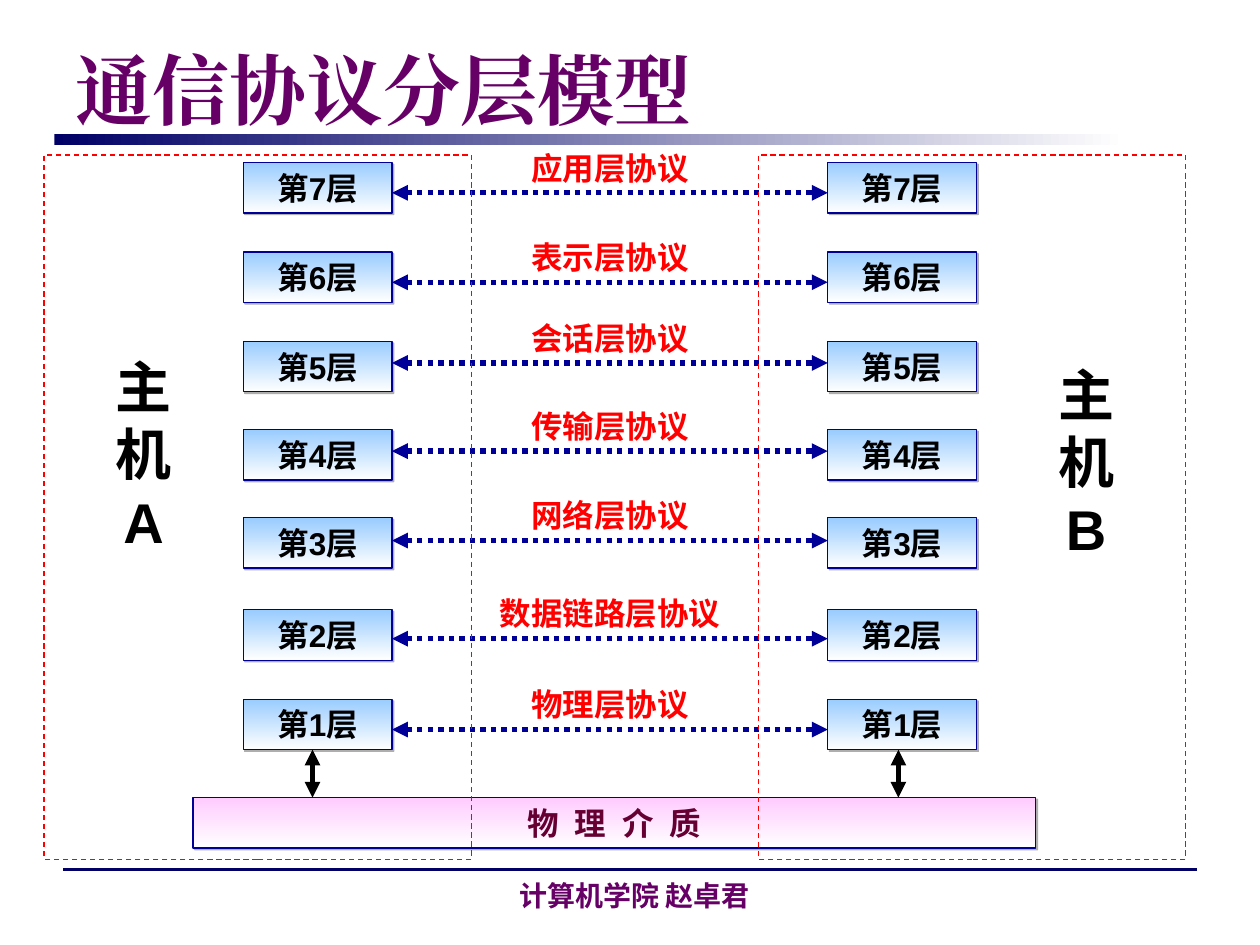
from dataclasses import dataclass

from lxml.etree import SubElement
from pptx import Presentation
from pptx.dml.color import RGBColor
from pptx.enum.dml import MSO_LINE
from pptx.enum.shapes import MSO_CONNECTOR, MSO_SHAPE
from pptx.enum.text import MSO_ANCHOR, PP_ALIGN
from pptx.oxml.ns import qn
from pptx.util import Pt

COLORS = {
    "navy": "000066", "line": "000099", "purple": "660066", "plum": "660033",
    "sky": "99CCFF", "pink": "FFCCFF", "red": "FF0000", "black": "000000",
    "white": "FFFFFF", "shadow": "5F5F5F",
}


@dataclass(frozen=True)
class Box:
    left: float
    top: float
    width: float
    height: float

    def lengths(self) -> tuple:
        return Pt(self.left), Pt(self.top), Pt(self.width), Pt(self.height)


@dataclass(frozen=True)
class TextStyle:
    size: float
    color: str
    font: str = "Arial"
    align: PP_ALIGN = PP_ALIGN.CENTER
    space_before: float = 0
    spacing: float = 0


@dataclass(frozen=True)
class Layer:
    number: int
    protocol: str
    box_top: float
    arrow_y: float


@dataclass(frozen=True)
class Host:
    name: str
    name_left: float
    name_top: float
    frame_left: float
    layer_left: float
    medium_arrow_x: float


LAYERS = [
    Layer(7, "应用层协议", 92.9, 110.2),
    Layer(6, "表示层协议", 144, 161.3),
    Layer(5, "会话层协议", 195.1, 207.4),
    Layer(4, "传输层协议", 245.5, 257.8),
    Layer(3, "网络层协议", 295.9, 308.9),
    Layer(2, "数据链路层协议", 348.5, 365),
    Layer(1, "物理层协议", 399.6, 416.9),
]
HOSTS = [
    Host("主机A", 48.2, 198, 25.2, 139, 178.6),
    Host("主机B", 586.8, 202.3, 433.4, 473, 513.4),
]
LAYER_WIDTH, ROW_HEIGHT = 85, 28.8
LABEL_CENTER = 348.5
MEDIUM = Box(110.2, 455.8, 481.7, ROW_HEIGHT)


def rgb(name: str) -> RGBColor:
    return RGBColor.from_string(COLORS[name])


def write(shape, text: str, style: TextStyle, anchor=MSO_ANCHOR.TOP) -> None:
    frame = shape.text_frame
    frame.word_wrap = True
    frame.vertical_anchor = anchor
    paragraph = frame.paragraphs[0]
    paragraph.alignment = style.align
    paragraph.space_before = Pt(style.space_before)
    run = paragraph.add_run()
    run.text = text
    run.font.size = Pt(style.size)
    run.font.bold = True
    run.font.color.rgb = rgb(style.color)
    run.font.name = style.font
    properties = run.font._element
    SubElement(properties, qn("a:ea")).set("typeface", style.font)
    if style.spacing:
        properties.set("spc", str(int(style.spacing * 100)))


def add_text(slide, box: Box, text: str, style: TextStyle, anchor=MSO_ANCHOR.TOP):
    shape = slide.shapes.add_textbox(*box.lengths())
    write(shape, text, style, anchor)
    return shape


def add_gradient(slide, box: Box, color: str, angle: float):
    shape = slide.shapes.add_shape(MSO_SHAPE.RECTANGLE, *box.lengths())
    shape.shadow.inherit = False
    shape.fill.gradient()
    shape.fill.gradient_angle = angle
    for stop, name in zip(shape.fill.gradient_stops, (color, "white")):
        stop.color.rgb = rgb(name)
    shape.line.fill.background()
    return shape


def add_block(slide, box: Box, color: str, text: str, style: TextStyle) -> None:
    shape = add_gradient(slide, box, color, 270)
    shape.line.color.rgb = rgb("line")
    shape.line.width = Pt(0.75)
    effects = shape._element.spPr.find(qn("a:effectLst"))
    shadow = SubElement(effects, qn("a:outerShdw"), blurRad="0",
                        dist=str(Pt(1.4)), dir="2700000", algn="ctr")
    tint = SubElement(shadow, qn("a:srgbClr"), val=COLORS["shadow"])
    SubElement(tint, qn("a:alpha"), val="50000")
    write(shape, text, style)


def add_line(slide, start: tuple[float, float], end: tuple[float, float],
             color: str, width: float, arrows: bool = False, dash=None) -> None:
    connector = slide.shapes.add_connector(
        MSO_CONNECTOR.STRAIGHT, *(Pt(value) for value in start + end))
    connector.line.color.rgb = rgb(color)
    connector.line.width = Pt(width)
    if dash is not None:
        connector.line.dash_style = dash
    if arrows:
        outline = connector.line._get_or_add_ln()
        for tag in ("a:headEnd", "a:tailEnd"):
            SubElement(outline, qn(tag), type="triangle")
    SubElement(connector._element.spPr, qn("a:effectLst"))


def add_frame(slide, box: Box) -> None:
    shape = slide.shapes.add_shape(MSO_SHAPE.RECTANGLE, *box.lengths())
    shape.shadow.inherit = False
    shape.fill.background()
    shape.line.color.rgb = rgb("red")
    shape.line.width = Pt(0.75)
    shape.line.dash_style = MSO_LINE.DASH


def main() -> None:
    presentation = Presentation()
    presentation.slide_width, presentation.slide_height = Pt(720), Pt(540)
    slide = presentation.slides.add_slide(presentation.slide_layouts[6])

    # Rule, title bar, footer and title
    add_line(slide, (36, 496.8), (684, 496.8), "navy", 1.5)
    add_gradient(slide, Box(31, 76.3, 612.7, 6.5), "navy", 0)
    add_text(slide, Box(190, 488.9, 345.6, 36), "计算机学院 赵卓君",
             TextStyle(16, "purple", "Noto Sans CJK SC"), MSO_ANCHOR.BOTTOM)
    title = add_text(slide, Box(36, 21.6, 648, 55.4), "通信协议分层模型",
                     TextStyle(44, "purple", "Times New Roman", PP_ALIGN.LEFT),
                     MSO_ANCHOR.BOTTOM)
    title.text_frame.margin_bottom = Pt(0)

    # Layer stacks of both hosts
    for host in HOSTS:
        for layer in LAYERS:
            add_block(slide, Box(host.layer_left, layer.box_top, LAYER_WIDTH, ROW_HEIGHT),
                      "sky", f"第{layer.number}层",
                      TextStyle(18, "black", space_before=11.2))

    # Peer protocols
    host_a, host_b = HOSTS
    for layer in LAYERS:
        add_line(slide, (host_a.layer_left + LAYER_WIDTH, layer.arrow_y),
                 (host_b.layer_left, layer.arrow_y), "line", 3,
                 arrows=True, dash=MSO_LINE.ROUND_DOT)
        width = 80 + 11.2 * len(layer.protocol)
        add_text(slide, Box(LABEL_CENTER - width / 2, layer.arrow_y - ROW_HEIGHT,
                            width, ROW_HEIGHT),
                 layer.protocol, TextStyle(18, "red", space_before=11.2))

    # Physical medium
    add_block(slide, MEDIUM, "pink", "物 理 介 质", TextStyle(18, "plum", spacing=2))

    # Host links, names and frames
    for host in HOSTS:
        add_line(slide, (host.medium_arrow_x, LAYERS[-1].box_top + ROW_HEIGHT),
                 (host.medium_arrow_x, MEDIUM.top), "black", 3, arrows=True)
        add_text(slide, Box(host.name_left, host.name_top, 67.7, 122.4), host.name,
                 TextStyle(32, "black", space_before=20))
        add_frame(slide, Box(host.frame_left, 88.6, 244.1, 402.5))

    presentation.save("out.pptx")


if __name__ == "__main__":
    main()
